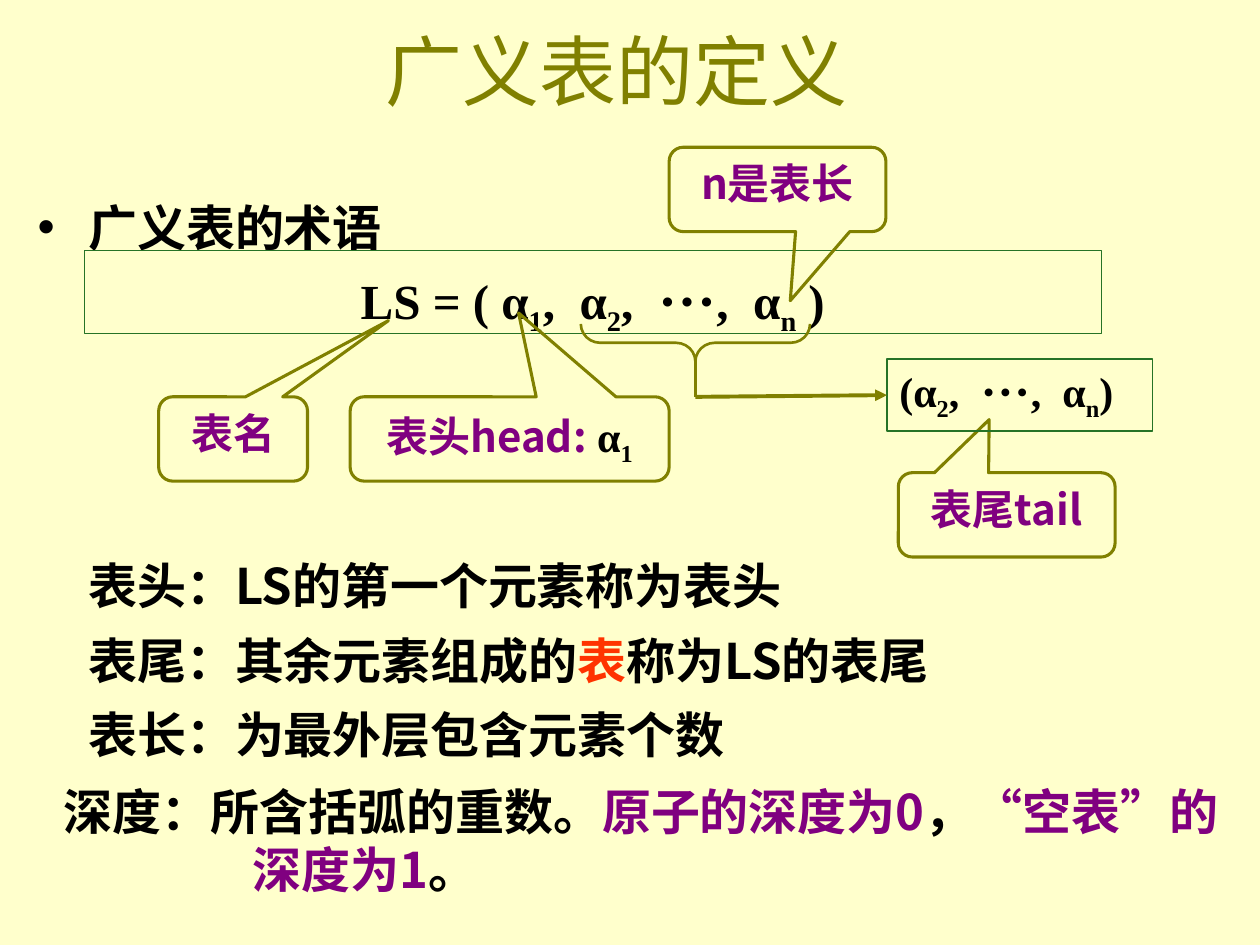
from lxml import etree
from pptx import Presentation
from pptx import util as u
from pptx.dml.color import RGBColor
from pptx.enum import shapes, text
from pptx.oxml.ns import qn

BLACK, PURPLE, OLIVE, GREEN, RED = "000000", "800080", "808000", "267326", "FF3300"
SANS, SERIF = "Noto Sans CJK SC", "Times New Roman"
SHAPE = shapes.MSO_SHAPE
CENTER = text.PP_ALIGN.CENTER
MIDDLE = text.MSO_ANCHOR.MIDDLE

TITLE = ("广义表的定义", SERIF, OLIVE)
TERMS = ("广义表的术语", SERIF, BLACK)


def math_run(words, kind=None):
    return (words, SERIF, BLACK, kind)


GAP = math_run(" ", "gap")
TAIL_ITEMS = [math_run("2", "sub"), math_run(","), GAP, math_run("⋅⋅⋅,"), GAP,
              math_run("α"), math_run("n", "sub")]
FORMULA = [math_run("LS = ( α"), math_run("1", "sub"), math_run(","), GAP,
           math_run("α"), *TAIL_ITEMS, math_run(" )")]
TAIL_LIST = [math_run("(α"), *TAIL_ITEMS, math_run(")")]

CALLOUTS = [
    ((7.06, 8, 6.43, 1.7), (0.028, -1.494, 0.167),
     [("表头head:", SANS, PURPLE), math_run(" α"), math_run("1", "sub")],
     {"vertical_anchor": MIDDLE, "margin_left": 0, "margin_right": 0,
      "margin_top": 0, "margin_bottom": 0}),
    ((3.2, 8, 3, 1.7), (1.044, -1.404, 0.167), [("表名", SANS, PURPLE)], {}),
    ((18.11, 9.53, 4.37, 1.7), (-0.081, -1.13, 0.167), [("表尾tail", SANS, PURPLE)],
     {"margin_left": 0, "margin_right": 0}),
    ((13.49, 2.97, 4.37, 1.7), (0.059, 1.319, 0.167), [("n是表长", SANS, PURPLE)], {}),
]
DEFINITIONS = [
    [("表头：LS的第一个元素称为表头", SANS, BLACK)],
    [("表尾：其余元素组成的", SANS, BLACK), ("表", SANS, RED), ("称为LS的表尾", SANS, BLACK)],
    [("表长：为最外层包含元素个数", SANS, BLACK)],
]
DEPTH = [("深度：所含括弧的重数。", SANS, BLACK), ("原子的深度为0", SANS, PURPLE),
         ("，", SANS, BLACK), ("“", "Arial", PURPLE),
         ("空表”的深度为1", SANS, PURPLE), ("。", SANS, BLACK)]


def color(value):
    return RGBColor.from_string(value)


def apply(target, values):
    for name, value in values.items():
        setattr(target, name, value)


def lengths(values):
    return [u.Cm(value) for value in values]


def write(box, runs, size, bold=True, frame=None, para=None, indent=None, bullet=None):
    apply(box.text_frame, {"word_wrap": True, **(frame or {})})
    paragraph = box.text_frame.paragraphs[0]
    apply(paragraph, {"alignment": text.PP_ALIGN.LEFT, "space_before": u.Pt(0), **(para or {})})
    props = paragraph._p.get_or_add_pPr()
    if indent:
        for name, value in zip(("marL", "indent"), indent):
            props.set(name, str(u.Cm(value)))
    if bullet:
        etree.SubElement(props, qn("a:buFont")).set("typeface", "Arial")
        etree.SubElement(props, qn("a:buChar")).set("char", bullet)
    for words, face, ink, *kind in runs:
        span = paragraph.add_run()
        span.text = words
        apply(span.font, {"size": u.Pt(size), "bold": bold, "name": face})
        span.font.color.rgb = color(ink)
        run_props = span._r.get_or_add_rPr()
        if face == SANS:
            etree.SubElement(run_props, qn("a:ea")).set("typeface", face)
        if "sub" in kind:
            run_props.set("baseline", "-25000")
        if "gap" in kind:
            run_props.set("spc", str(size * 25))


def add_outline(page, preset, place, ink, width, adjustments=()):
    shape = page.shapes.add_shape(preset, *lengths(place))
    shape.shadow.inherit = False
    shape.fill.background()
    shape.line.color.rgb = color(ink)
    shape.line.width = u.Pt(width)
    for index, value in enumerate(adjustments):
        shape.adjustments[index] = value
    return shape


def add_line(page, start, end):
    line = page.shapes.add_connector(shapes.MSO_CONNECTOR.STRAIGHT, *lengths(start + end))
    line.line.color.rgb = color(OLIVE)
    line.line.width = u.Pt(2.25)
    etree.SubElement(line._element.spPr, qn("a:effectLst"))
    return line


def add_text(page, place, runs, **layout):
    write(page.shapes.add_textbox(*lengths(place)), runs, 28, **layout)


def main():
    deck = Presentation()
    apply(deck, {"slide_width": u.Cm(25.4), "slide_height": u.Cm(19.05)})
    page = deck.slides.add_slide(deck.slide_layouts[5])
    page.background.fill.solid()
    page.background.fill.fore_color.rgb = color("FFFFCC")

    title = page.shapes.title
    apply(title, dict(zip(("left", "top", "width", "height"),
                          lengths((1.63, -0.18, 21.59, 3.18)))))
    write(title, [TITLE], 44, bold=False, frame={"vertical_anchor": MIDDLE},
          para={"alignment": CENTER})

    add_text(page, (0.51, 3.73, 24.21, 1.55), [TERMS], para={"line_spacing": 1.1},
             indent=(1.02, -1.02), bullet="•")
    formula = add_outline(page, SHAPE.RECTANGLE, (1.7, 5.05, 20.5, 1.68), GREEN, 0.75)
    write(formula, FORMULA, 28, frame={"vertical_anchor": text.MSO_ANCHOR.TOP},
          para={"alignment": CENTER, "line_spacing": 1.2})

    for place, pointer, runs, frame in CALLOUTS:
        callout = add_outline(page, SHAPE.ROUNDED_RECTANGULAR_CALLOUT, place, OLIVE, 1.75, pointer)
        write(callout, runs, 24, frame={"vertical_anchor": text.MSO_ANCHOR.TOP, **frame},
              para={"alignment": CENTER})

    brace = add_outline(page, SHAPE.LEFT_BRACE, (13.64, 4.6, 0.76, 4.62), OLIVE, 1.5, (0.514, 0.5))
    brace.rotation = 270

    for row, runs in enumerate(DEFINITIONS):
        add_text(page, (0.51, 11.2 + 1.51 * row, 24.21, 1.32), runs,
                 para={"line_spacing": 0.9}, indent=(1.02, 0))
    add_text(page, (0.61, 15.62, 24.21, 2.62), DEPTH, indent=(4.24, -3.81))

    tail_box = add_outline(page, SHAPE.RECTANGLE, (17.88, 7.24, 5.36, 1.45), GREEN, 0.75)
    write(tail_box, TAIL_LIST, 24,
          frame={"vertical_anchor": text.MSO_ANCHOR.TOP, "word_wrap": False})

    corner = (14.02, 8)
    add_line(page, (14.02, 7.26), corner)
    arrow = add_line(page, corner, (17.88, 7.97))
    arrow.end_connect(tail_box, 1)
    etree.SubElement(arrow.line._get_or_add_ln(), qn("a:tailEnd")).set("type", "triangle")

    deck.save("out.pptx")


if __name__ == "__main__":
    main()
